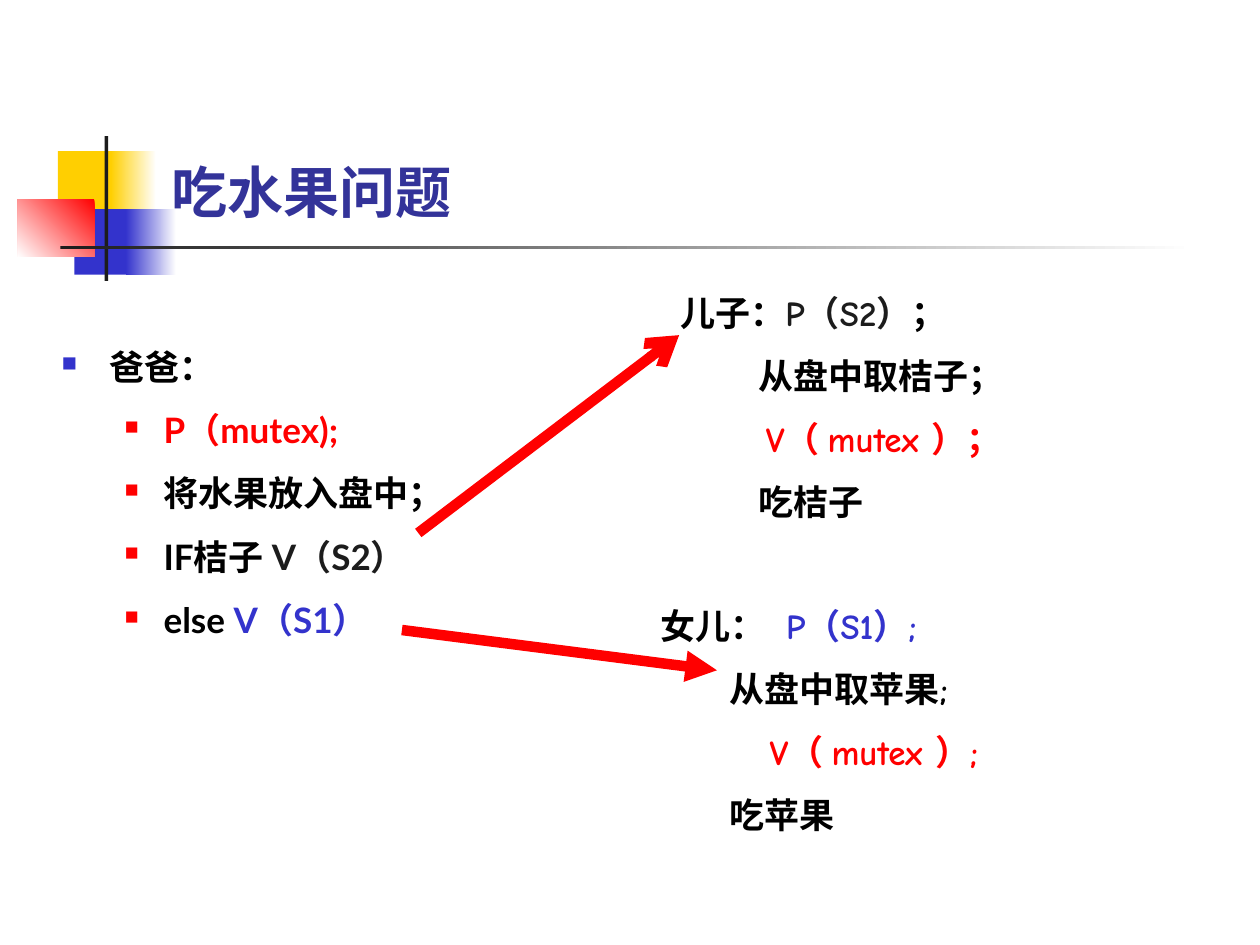
from lxml.etree import SubElement
from pptx import Presentation
from pptx.dml.color import RGBColor
from pptx.enum.shapes import MSO_CONNECTOR, MSO_SHAPE
from pptx.enum.text import MSO_ANCHOR, MSO_AUTO_SIZE
from pptx.oxml.ns import qn
from pptx.util import Inches, Pt

WHITE = RGBColor(0xFF, 0xFF, 0xFF)
BLACK = RGBColor(0, 0, 0)
INK = RGBColor(0x1C, 0x1C, 0x1C)
RED = RGBColor(0xFF, 0, 0)
BLUE = RGBColor(0x33, 0x33, 0xCC)
YELLOW = RGBColor(0xFF, 0xCF, 0x01)
NAVY = RGBColor(0x33, 0x33, 0x99)


def add_block(slide, x, y, w, h, color, fade=None):
    """Draw a borderless rectangle; fade is the angle at which it runs to white."""
    sp = slide.shapes.add_shape(
        MSO_SHAPE.RECTANGLE, Inches(x), Inches(y), Inches(w), Inches(h))
    sp.shadow.inherit = False
    sp.line.fill.background()
    if fade is None:
        sp.fill.solid()
        sp.fill.fore_color.rgb = color
    else:
        sp.fill.gradient()
        sp.fill.gradient_angle = fade
        for stop, stop_color in zip(sp.fill.gradient_stops, (color, WHITE)):
            stop.color.rgb = stop_color


def add_ornament(slide, x, y):
    add_block(slide, x + 0.32, y + 0.12, 0.48, 0.52, YELLOW)
    add_block(slide, x + 0.74, y + 0.12, 0.36, 0.52, YELLOW, 0)
    add_block(slide, x + 0.45, y + 0.58, 0.46, 0.52, BLUE)
    add_block(slide, x + 0.86, y + 0.58, 0.4, 0.52, BLUE, 0)
    add_block(slide, x, y + 0.5, 0.61, 0.46, RED, 225)
    add_block(slide, x + 0.69, y, 0.03, 1.15, INK)
    add_block(slide, x + 0.34, y + 0.87, 9, 0.03, INK, 0)


def add_text_frame(slide, x, y, w, h):
    box = slide.shapes.add_textbox(Inches(x), Inches(y), Inches(w), Inches(h))
    box.text_frame.word_wrap = True
    return box.text_frame


def next_paragraph(tf, index):
    return tf.add_paragraph() if index else tf.paragraphs[0]


def add_runs(p, runs, font, size=20):
    for text, color in runs:
        r = p.add_run()
        r.text = text
        r.font.name = font
        r.font.size = Pt(size)
        r.font.bold = True
        r.font.color.rgb = color


def set_indent(p, left, first=0):
    pPr = p._p.get_or_add_pPr()
    pPr.set("marL", str(Inches(left)))
    pPr.set("indent", str(Inches(first)))
    return pPr


def set_bullet(pPr, color, percent):
    clr = SubElement(pPr, qn("a:buClr"))
    SubElement(clr, qn("a:srgbClr"), val=str(color))
    SubElement(pPr, qn("a:buSzPct"), val=str(percent * 1000))
    SubElement(pPr, qn("a:buChar"), char="■")


def add_title(slide, x, y, w, h, text):
    tf = add_text_frame(slide, x, y, w, h)
    tf.vertical_anchor = MSO_ANCHOR.BOTTOM
    add_runs(tf.paragraphs[0], [(text, NAVY)], "Lato", 32)


def add_father(slide, x, y, w, h, lines):
    """Bulleted steps: a heading and the level below it."""
    tf = add_text_frame(slide, x, y, w, h)
    for i, runs in enumerate(lines):
        p = next_paragraph(tf, i)
        if i == 0:
            set_bullet(set_indent(p, 0.38, -0.38), BLUE, 60)
        else:
            p.level = 1
            set_bullet(set_indent(p, 0.81, -0.31), RED, 55)
            p.space_before = Pt(5)
        p.line_spacing = 1.3
        add_runs(p, runs, "Lato")


def add_child(slide, x, y, w, h, lines, tab=None):
    """Steps given as (indent, runs); tab is a stop in the first line."""
    tf = add_text_frame(slide, x, y, w, h)
    tf.auto_size = MSO_AUTO_SIZE.SHAPE_TO_FIT_TEXT
    for i, (indent, runs) in enumerate(lines):
        p = next_paragraph(tf, i)
        pPr = set_indent(p, indent)
        if i == 0 and tab:
            tabs = SubElement(pPr, qn("a:tabLst"))
            SubElement(tabs, qn("a:tab"), pos=str(Inches(tab)), algn="l")
        p.line_spacing = 1.5
        add_runs(p, runs, "Comic Neue")


def add_arrow(slide, start, end, head):
    line = slide.shapes.add_connector(
        MSO_CONNECTOR.STRAIGHT, *(Inches(v) for v in start + end))
    line.line.color.rgb = RED
    line.line.width = Pt(6)
    SubElement(line.line._get_or_add_ln(), qn("a:tailEnd"), type=head)
    SubElement(line._element.spPr, qn("a:effectLst"))


def main():
    prs = Presentation()
    prs.slide_width, prs.slide_height = Inches(10), Inches(7.5)
    s = prs.slides.add_slide(prs.slide_layouts[6])

    add_ornament(s, 0.14, 1.08)
    add_title(s, 1.26, 0.23, 8.52, 1.6, "吃水果问题")
    add_father(s, 0.39, 2.59, 4.04, 3.22, [
        [("爸爸：", BLACK)],
        [("P（mutex);", RED)],
        [("将水果放入盘中；", BLACK)],
        [("IF桔子 ", BLACK), ("V（S2）", INK)],
        [("else ", BLACK), ("V（S1）", BLUE)],
    ])
    add_child(s, 5.3, 2.1, 3.79, 2.1, [
        (0, [("儿子：", BLACK), ("P（S2）", INK), ("；", BLACK)]),
        (0.62, [("从盘中取桔子；", BLACK)]),
        (0.68, [("V（ mutex ）；", RED)]),
        (0.62, [("吃桔子", BLACK)]),
    ])
    add_child(s, 5.14, 4.58, 3.61, 2.1, [
        (0, [("女儿：\t", BLACK), ("P（S1）;", BLUE)]),
        (0.55, [("从盘中取苹果;", BLACK)]),
        (0.87, [("V（ mutex ）;", RED)]),
        (0.55, [("吃苹果", BLACK)]),
    ], tab=1.01)
    add_arrow(s, (3.32, 4.23), (5.39, 2.66), "arrow")
    add_arrow(s, (3.19, 5), (5.69, 5.32), "triangle")

    prs.save("out.pptx")


if __name__ == "__main__":
    main()
